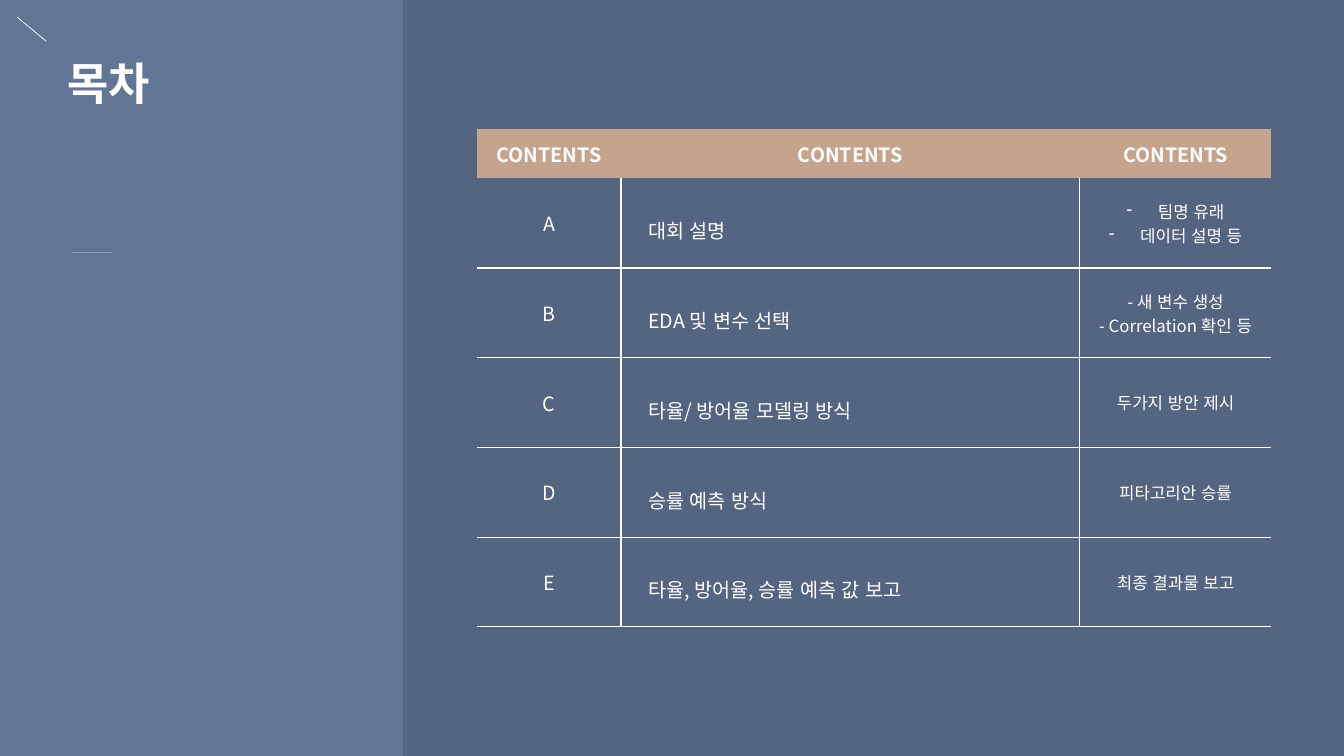
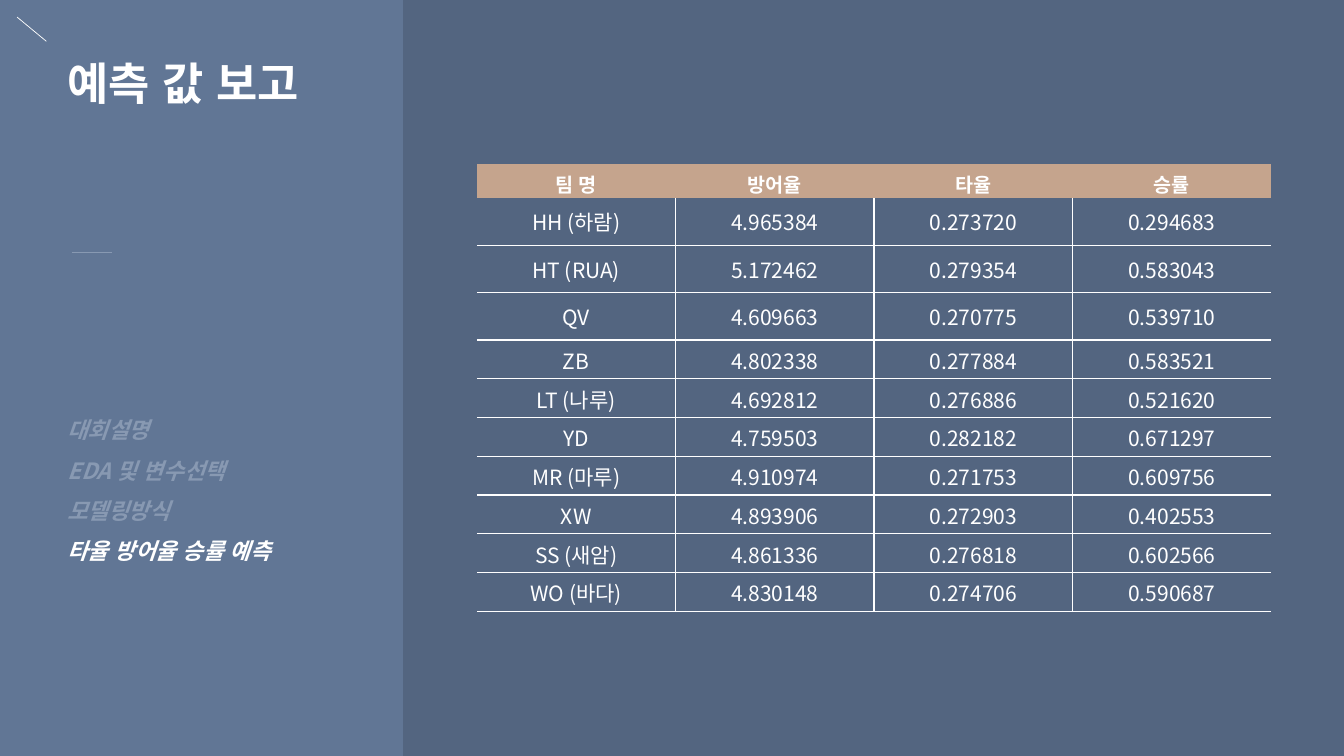
from dataclasses import dataclass

from lxml.etree import SubElement
from pptx import Presentation
from pptx.dml.color import RGBColor as RGB
from pptx.enum.lang import MSO_LANGUAGE_ID as Lang
from pptx.enum.shapes import MSO_CONNECTOR as Link
from pptx.enum.text import MSO_ANCHOR as Anchor, MSO_AUTO_SIZE as Auto, PP_ALIGN as Align
from pptx.oxml.ns import qn
from pptx.util import Inches, Pt


@dataclass(frozen=True)
class Theme:
    font: str = "Noto Sans CJK KR"
    panel: str = "617695"
    back: str = "536580"
    white: str = "FFFFFF"
    muted: str = "8899B2"
    head: str = "C5A48D"
    title: int = 32
    menu: int = 16
    value: int = 15
    body: int = 14
    note: int = 12
    rule: float = 0.5
    grid: float = 1


@dataclass(frozen=True)
class Style:
    """Text style of one table column."""
    size: int
    align: Align = Align.CENTER
    space: float = None
    left: float = 0.1


PLAIN_GRID = "{2D5ABB26-0587-4C30-8999-92F81FD0307C}"
BULLET = "• "
EDGES = ("lnL", "lnR", "lnT", "lnB")


class Deck:
    def __init__(self, theme):
        self.theme = theme
        self.prs = Presentation()
        self.prs.slide_width = Inches(13.33)
        self.prs.slide_height = Inches(7.5)
        self.slide = None

    def page(self, title):
        """Add a slide with the split background, title and rules."""
        t = self.theme
        self.slide = self.prs.slides.add_slide(self.prs.slide_layouts[6])
        fill = self.slide.background.fill
        fill.gradient()
        fill.gradient_angle = 0
        for stop, color in zip(fill.gradient_stops, (t.panel, t.back)):
            stop.position = 0.3
            stop.color.rgb = RGB.from_string(color)
        self.text(0.57, 0.5, 3.16, 0.64, [(title, t.white)], t.title)
        self.line(0.17, 0.17, 0.46, 0.41, t.white)
        self.line(0.71, 2.5, 1.11, 2.5, t.muted)

    def style(self, para, size, color, bold=False, italic=False):
        font = para.font
        font.size, font.bold, font.italic = Pt(size), bold, italic
        font.color.rgb = RGB.from_string(color)
        font.name = self.theme.font
        props = para._p.pPr.find(qn("a:defRPr"))
        SubElement(props, qn("a:ea"), typeface=self.theme.font)
        for run in para.runs:
            run.font.language_id = Lang.KOREAN

    def text(self, x, y, w, h, lines, size, space=None, italic=False):
        box = self.slide.shapes.add_textbox(*map(Inches, (x, y, w, h)))
        frame = box.text_frame
        frame.word_wrap = True
        frame.auto_size = Auto.SHAPE_TO_FIT_TEXT
        frame.text = "\n".join(words for words, _ in lines)
        for para, (_, color) in zip(frame.paragraphs, lines):
            para.line_spacing = space
            self.style(para, size, color, True, italic)

    def line(self, x1, y1, x2, y2, color):
        ends = map(Inches, (x1, y1, x2, y2))
        rule = self.slide.shapes.add_connector(Link.STRAIGHT, *ends)
        rule.line.color.rgb = RGB.from_string(color)
        rule.line.width = Pt(self.theme.rule)
        SubElement(rule._element.spPr, qn("a:effectLst"))

    def bullet(self, para):
        """Give the paragraph a hanging dash."""
        props = para._p.pPr
        props.set("marL", str(Inches(0.31)))
        props.set("indent", str(-Inches(0.31)))
        mark = SubElement(props, qn("a:buChar"), char="-")
        props.find(qn("a:defRPr")).addprevious(mark)

    def border(self, cell, shown):
        """Draw the cell edges flagged in shown: left, right, top, bottom."""
        props = cell._tc.get_or_add_tcPr()
        for edge, on in zip(EDGES, shown):
            width = Pt(self.theme.grid) if on else 0
            line = SubElement(props, qn("a:" + edge), w=str(width))
            if on:
                fill = SubElement(line, qn("a:solidFill"))
                SubElement(fill, qn("a:srgbClr"), val=self.theme.white)
            else:
                SubElement(line, qn("a:noFill"))

    def cell(self, cell, words, style, head):
        t = self.theme
        if head:
            cell.fill.solid()
            cell.fill.fore_color.rgb = RGB.from_string(t.head)
        else:
            cell.fill.background()
        cell.vertical_anchor = Anchor.MIDDLE
        cell.margin_left = Inches(style.left)
        lines = words.split("\n")
        cell.text_frame.text = "\n".join(s.removeprefix(BULLET) for s in lines)
        for para, line in zip(cell.text_frame.paragraphs, lines):
            para.alignment = style.align
            para.line_spacing = style.space
            self.style(para, style.size, t.white, head)
            if line.startswith(BULLET):
                self.bullet(para)

    def table(self, x, y, widths, heights, rows, styles):
        size = map(Inches, (x, y, sum(widths), sum(heights)))
        table = self.slide.shapes.add_table(len(rows), len(widths), *size).table
        table.first_row = table.horz_banding = False
        table._tbl.tblPr.find(qn("a:tableStyleId")).text = PLAIN_GRID
        for col, width in zip(table.columns, widths):
            col.width = Inches(width)
        for row, height in zip(table.rows, heights):
            row.height = Inches(height)
        last = len(widths) - 1
        for r, row in enumerate(rows):
            head = r == 0
            for c, words in enumerate(row):
                cell = table.cell(r, c)
                self.border(cell, (not head and c > 0, not head and c < last,
                                   r > 1, not head))
                style = Style(self.theme.body) if head else styles[c]
                self.cell(cell, words, style, head)


TOPICS = [
    ("CONTENTS",) * 3,
    ("A", "대회 설명", f"{BULLET}팀명 유래\n{BULLET}데이터 설명 등"),
    ("B", "EDA 및 변수 선택", "- 새 변수 생성\n- Correlation 확인 등"),
    ("C", "타율/ 방어율 모델링 방식", "두가지 방안 제시"),
    ("D", "승률 예측 방식", "피타고리안 승률"),
    ("E", "타율, 방어율, 승률 예측 값 보고", "최종 결과물 보고"),
]
MENU = ["대회설명", "EDA 및 변수선택", "모델링방식", "타율 방어율 승률 예측"]
SCORES = [
    ("팀 명", "방어율", "타율", "승률"),
    ("HH (하람)", "4.965384", "0.273720", "0.294683"),
    ("HT (RUA)", "5.172462", "0.279354", "0.583043"),
    ("QV", "4.609663", "0.270775", "0.539710"),
    ("ZB", "4.802338", "0.277884", "0.583521"),
    ("LT (나루)", "4.692812", "0.276886", "0.521620"),
    ("YD", "4.759503", "0.282182", "0.671297"),
    ("MR (마루)", "4.910974", "0.271753", "0.609756"),
    ("XW", "4.893906", "0.272903", "0.402553"),
    ("SS (새암)", "4.861336", "0.276818", "0.602566"),
    ("WO (바다)", "4.830148", "0.274706", "0.590687"),
]


def main():
    theme = Theme()
    deck = Deck(theme)

    deck.page("목차")
    styles = [Style(theme.body), Style(theme.body, Align.LEFT, 1.5, 0.27),
              Style(theme.note)]
    deck.table(4.73, 1.28, [1.43, 4.55, 1.9], [0.49] + [0.89] * 5, TOPICS, styles)

    deck.page("예측 값 보고")
    colors = [theme.muted] * (len(MENU) - 1) + [theme.white]
    deck.text(0.57, 3.95, 3, 1.66, list(zip(MENU, colors)), theme.menu, 1.5, True)
    tall = [0.32] + [0.47] * 3
    low = (4.42 - sum(tall)) / 7
    deck.table(4.73, 1.63, [1.97] * 4, tall + [low] * 7,
               SCORES, [Style(theme.value)] * 4)

    deck.prs.save("out.pptx")


if __name__ == "__main__":
    main()
